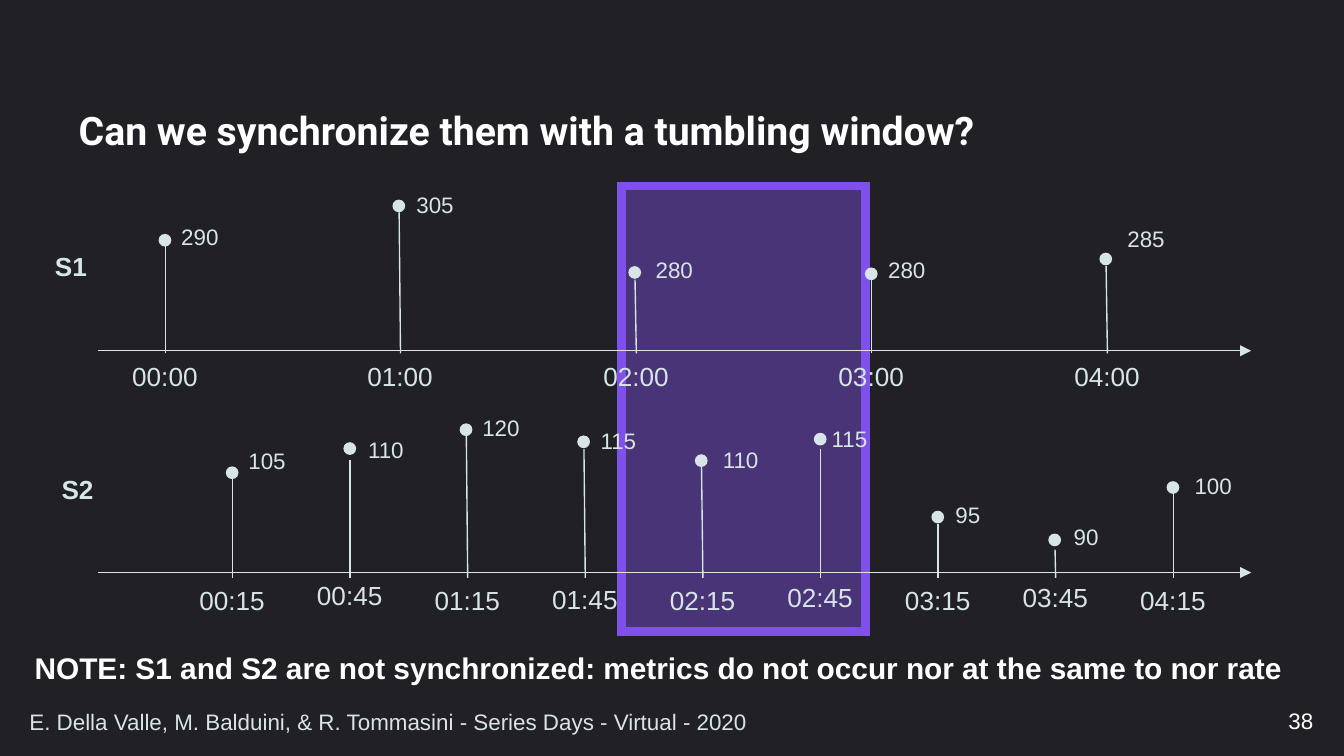
from lxml import etree
from pptx import Presentation
from pptx import util as u
from pptx.dml.color import RGBColor
from pptx.enum import shapes, text
from pptx.oxml import ns

SCALE = 4572
DARK = RGBColor(0x20, 0x20, 0x25)
PURPLE = RGBColor(0x80, 0x50, 0xEA)
PALE = RGBColor(0xD7, 0xE5, 0xE6)
WHITE = RGBColor(0xFF, 0xFF, 0xFF)

FIELDS = ("value", "lean", "dot", "stem", "shift", "label", "clock")
FIRST = [
    (290, 0, 348, 366, 4, 322, 526),
    (305, 2, 297, 316, 4, 274, 526),
    (280, 2, 396, 416, 9, 372, 526),
    (280, 0, 398, 416, 5, 372, 526),
    (285, 2, 376, 396, 10, 326, 526),
]
SECOND = [
    (105, 0, 694, 712, 4, 656, 860),
    (110, 0, 658, 684, 7, 639, 853),
    (120, 2, 630, 648, 2, 606, 860),
    (115, 2, 648, 668, 3, 626, 858),
    (110, 2, 676, 694, 10, 654, 860),
    (115, 0, 644, 668, -3, 623, 856),
    (95, 0, 760, 780, 6, 736, 860),
    (90, 1, 794, 818, 7, 768, 856),
    (100, 0, 716, 734, 12, 693, 860),
]


def px(*sizes):
    """Turn px lengths into EMU."""
    return [u.Emu(round(size * SCALE)) for size in sizes]


def add_text(slide, words, box, size, color=PALE, bold=False, font="Arial", wrap=False):
    """Add a one-run text box and return its frame."""
    frame = slide.shapes.add_textbox(*px(*box)).text_frame
    frame.word_wrap = wrap
    if wrap:
        frame.vertical_anchor = text.MSO_ANCHOR.MIDDLE
    else:
        frame.auto_size = text.MSO_AUTO_SIZE.SHAPE_TO_FIT_TEXT
    run = frame.paragraphs[0].add_run()
    run.text = words
    run.font.size = u.Pt(size)
    run.font.name = font
    run.font.bold = bold
    run.font.color.rgb = color
    return frame


def add_line(slide, start, end, arrow=False):
    """Add a thin straight line, with an arrowhead if asked."""
    line = slide.shapes.add_connector(shapes.MSO_CONNECTOR.STRAIGHT, *px(*start, *end))
    line.line.color.rgb = PALE
    line.line.width = u.Pt(0.75)
    props = line._element.spPr
    if arrow:
        etree.SubElement(props.find(ns.qn("a:ln")), ns.qn("a:tailEnd"), type="triangle")
    etree.SubElement(props, ns.qn("a:effectLst"))


def add_shape(slide, kind, box, color):
    """Add a flat filled shape without outline."""
    shape = slide.shapes.add_shape(kind, *px(*box))
    shape.shadow.inherit = False
    shape.fill.solid()
    shape.fill.fore_color.rgb = color
    shape.line.fill.background()
    return shape


def add_window(slide):
    """Add the see-through tumbling window."""
    window = add_shape(slide, shapes.MSO_SHAPE.RECTANGLE, (925, 277, 363, 663), PURPLE)
    props = window._element.spPr
    tint = props.find(ns.qn("a:solidFill"))[0]
    etree.SubElement(tint, ns.qn("a:alpha"), val="42000")
    window.line.color.rgb = PURPLE
    window.line.width = u.Pt(4.5)
    etree.SubElement(props.find(ns.qn("a:ln")), ns.qn("a:miter"), lim="800000")


def add_sample(slide, x, base, minute, sample):
    """Add one stem with its dot, value and time."""
    part = dict(zip(FIELDS, sample))
    top = x - part["lean"]
    time = f"{minute // 60:02}:{minute % 60:02}"
    add_text(slide, time, (x - 69, part["clock"], 138, 68), 14)
    add_line(slide, (x, base), (top, part["stem"]))
    add_shape(slide, shapes.MSO_SHAPE.OVAL, (top - 10, part["dot"], 19, 19), PALE)
    value = str(part["value"])
    width = 40 + 19 * len(value)
    add_text(slide, value, (x + part["shift"], part["label"], width, 60), 12)


def add_series(slide, name, spot, axis, base, origin, step, begin, gap, samples):
    """Add a named time axis with evenly spaced samples."""
    add_line(slide, (146, axis), (1862, axis), arrow=True)
    add_text(slide, name, (*spot, 88, 68), 14, bold=True)
    for i, sample in enumerate(samples):
        add_sample(slide, round(origin + step * i), base, begin + gap * i, sample)


def add_title(slide):
    """Add the slide title."""
    frame = add_text(slide, "Can we synchronize them with a tumbling window?",
                     (102, 134, 1796, 128), 21, WHITE, True, "Roboto", True)
    frame.margin_left = frame.margin_right = px(15)[0]
    frame.margin_top = frame.margin_bottom = px(8)[0]
    frame.paragraphs[0].line_spacing = 0.9


def add_footer(slide):
    """Add the credit line and the page number."""
    add_text(slide, "E. Della Valle, M. Balduini, & R. Tommasini - Series Days - Virtual - 2020",
             (24, 1045, 1490, 58), 12, wrap=True)
    page = add_text(slide, "38", (1524, 1043, 450, 60), 12, WHITE, wrap=True)
    page.paragraphs[0].alignment = text.PP_ALIGN.RIGHT


def main():
    """Build and save the slide."""
    deck = Presentation()
    deck.slide_width, deck.slide_height = px(2000, 1125)
    slide = deck.slides.add_slide(deck.slide_layouts[6])
    slide.background.fill.solid()
    slide.background.fill.fore_color.rgb = DARK
    add_window(slide)
    add_title(slide)
    add_footer(slide)
    add_series(slide, "S1", (62, 363), 522, 526, 246, 350.4, 0, 60, FIRST)
    add_series(slide, "S2", (72, 695), 852, 860, 346, 175, 15, 30, SECOND)
    note = "NOTE: S1 and S2 are not synchronized: metrics do not occur nor at the same to nor rate"
    add_text(slide, note, (32, 957, 1922, 74), 16, WHITE, True)
    deck.save("out.pptx")


if __name__ == "__main__":
    main()
